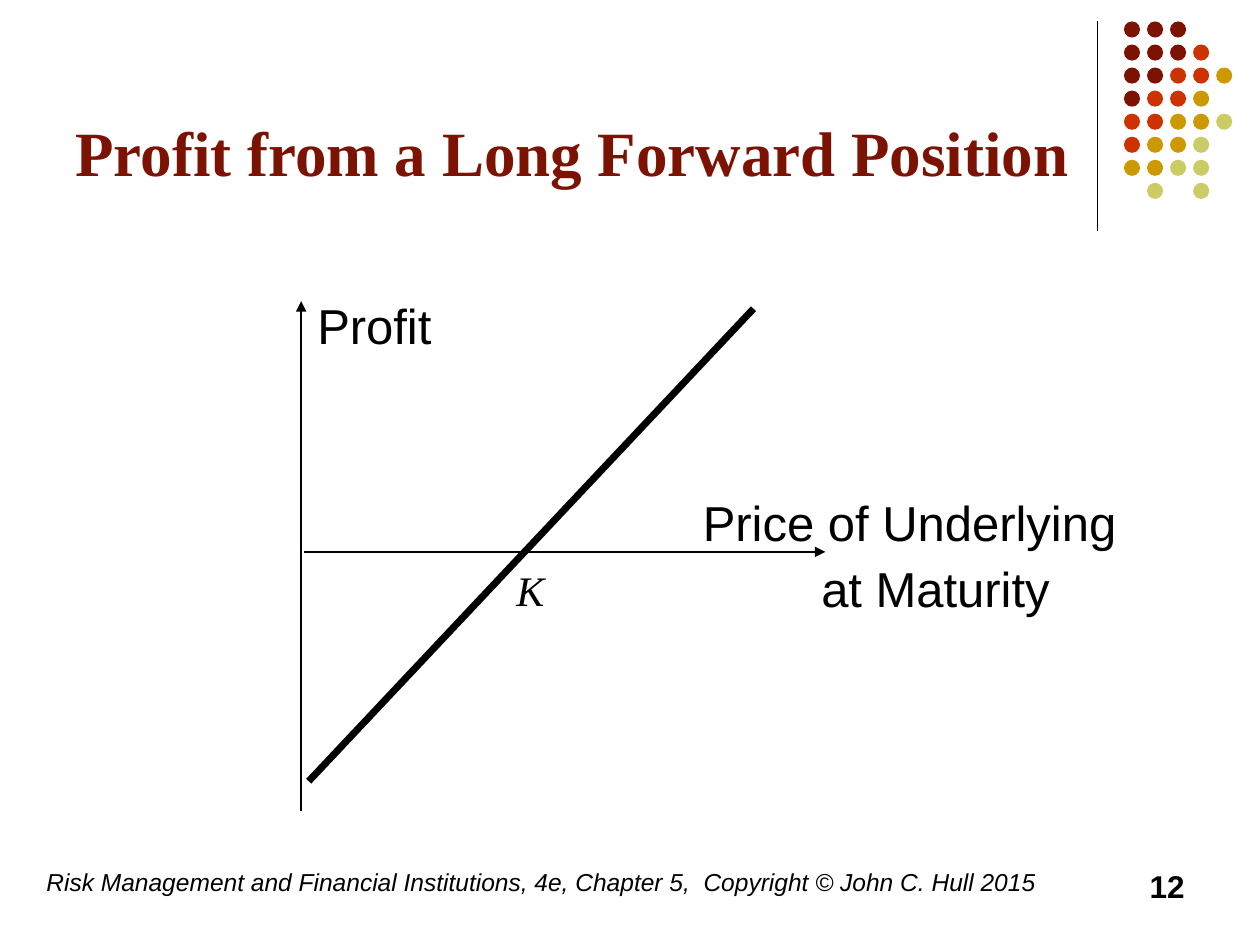
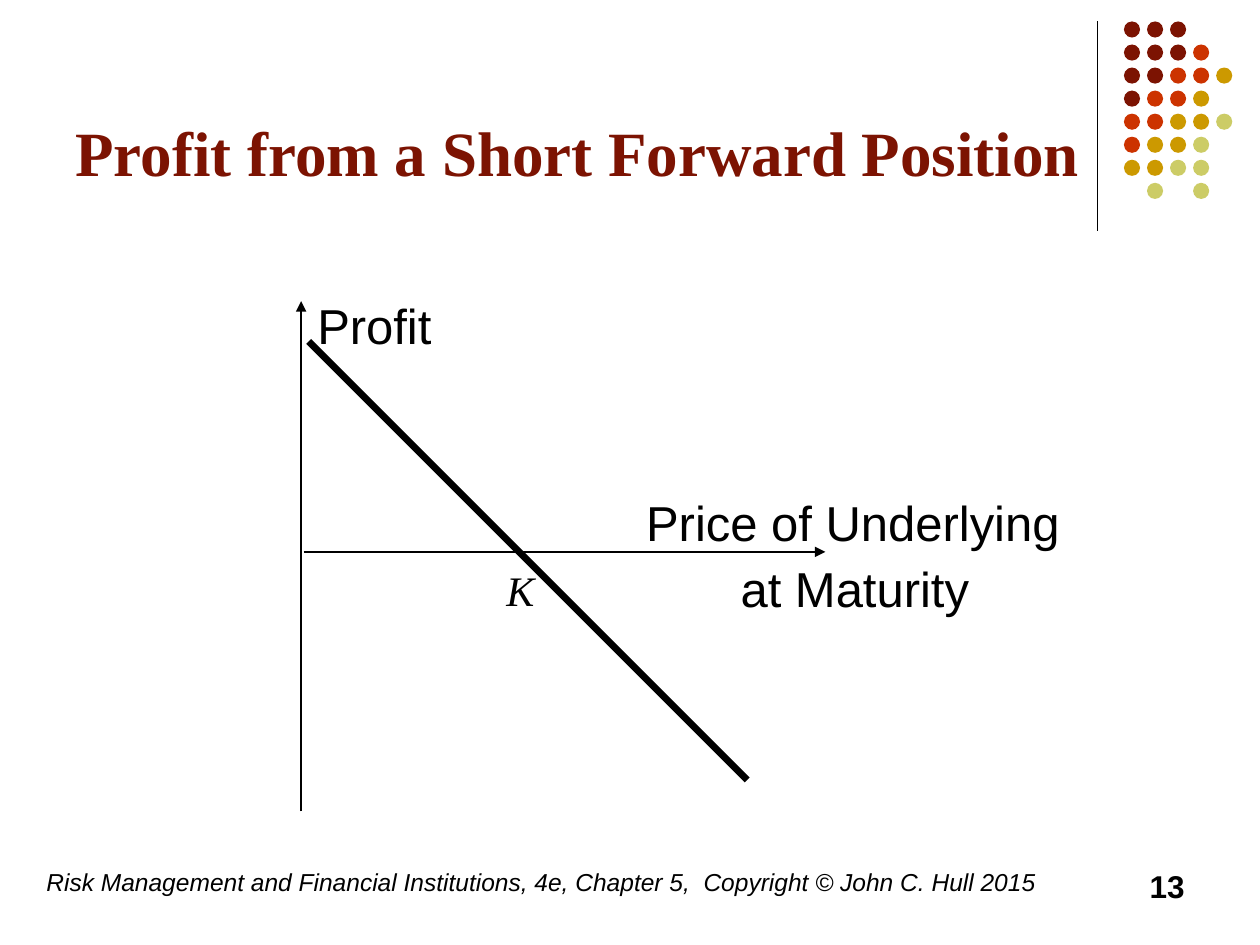
from dataclasses import dataclass

from lxml import etree
from pptx import Presentation
from pptx.dml.color import RGBColor
from pptx.enum.shapes import MSO_CONNECTOR, MSO_SHAPE
from pptx.enum.text import MSO_ANCHOR, PP_ALIGN
from pptx.oxml.ns import qn
from pptx.util import Inches, Pt

STRAIGHT, OVAL = MSO_CONNECTOR.STRAIGHT, MSO_SHAPE.OVAL
LEFT, RIGHT = PP_ALIGN.LEFT, PP_ALIGN.RIGHT
TOP, BOTTOM = MSO_ANCHOR.TOP, MSO_ANCHOR.BOTTOM

# The slide is a grid of square cells; all lengths below count cells
COLUMNS, ROWS = 100, 75
CELL = Inches(0.1)

COLORS = {"ink": "000000", "maroon": "7C1302", "red": "CC3300",
          "gold": "CC9900", "olive": "CCCC66"}
SANS, SERIF = "Arial", "Times New Roman"

# One letter per dot, the initial of its colour
DOT_COLORS = {name[0]: name for name in ("maroon", "red", "gold", "olive")}
DOT_ROWS = ["mmm", "mmmr", "mmrrg", "mrrg", "rrggo", "rggo", "ggoo", " o o"]
DOT_PITCH, DOT_SIZE = 1.83, 1.28

FOOTER = ("Risk Management and Financial Institutions, 4e, Chapter 5,  "
          "Copyright © John C. Hull 2015")


@dataclass
class Box:
    left: float
    top: float
    width: float
    height: float

    def inner(self, left, top, width, height):
        return Box(self.left + left, self.top + top, width, height)

    def point(self, x, y):
        return self.left + x, self.top + y


@dataclass
class Position:
    title: str
    number: int
    payoff: tuple        # start and end of the payoff line in the plot
    strike_left: float
    price_left: float
    maturity_indent: float


PAGE_BOX = Box(0, 0, COLUMNS, ROWS)
DOTS_BOX = PAGE_BOX.inner(87.1, 1.7, 10.8, 16.6)
TITLE_BOX = PAGE_BOX.inner(5, 1.3, 82.5, 14.2)
FOOTER_BOX = PAGE_BOX.inner(2.7, 68.3, 92.3, 5)
PLOT_BOX = PAGE_BOX.inner(23.9, 23.9, 41.6, 40.5)

POSITIONS = [
    Position("Profit from a Long Forward Position", 12,
             ((0.6, 38.1), (35.9, 0.6)), 16.1, 30.9, 9.4),
    Position("Profit from a Short Forward Position", 13,
             ((0.6, 3.2), (35.4, 38)), 15.3, 26.4, 7.5),
]


def cells(*counts):
    return [round(count * CELL) for count in counts]


def color(name):
    return RGBColor.from_string(COLORS[name])


def add_text(page, box, lines, size, font=SANS, ink="ink", bold=False,
             italic=False, align=LEFT, anchor=TOP):
    area = cells(box.left, box.top, box.width, box.height)
    frame = page.shapes.add_textbox(*area).text_frame
    frame.word_wrap = True
    frame.vertical_anchor = anchor
    frame.text = "\n".join(lines)
    for para in frame.paragraphs:
        para.alignment = align
        para.font.name, para.font.size = font, Pt(size)
        para.font.bold, para.font.italic = bold, italic
        para.font.color.rgb = color(ink)
    return frame


def add_line(page, start, end, weight, arrow=False):
    line = page.shapes.add_connector(STRAIGHT, *cells(*start, *end))
    line.line.color.rgb = color("ink")
    line.line.width = Pt(weight)
    properties = line._element.spPr
    if arrow:
        outline = properties.find(qn("a:ln"))
        etree.SubElement(outline, qn("a:tailEnd"), type="triangle")
    etree.SubElement(properties, qn("a:effectLst"))


def draw_dots(page, box):
    """Vertical rule with the dot pattern to its right."""
    add_line(page, box.point(0, 0), box.point(0, box.height), 0.75)
    for row, letters in enumerate(DOT_ROWS):
        for column, letter in enumerate(letters):
            if letter == " ":
                continue
            spot = box.point(2.1 + column * DOT_PITCH, row * DOT_PITCH)
            dot = page.shapes.add_shape(
                OVAL, *cells(*spot, DOT_SIZE, DOT_SIZE))
            dot.shadow.inherit = False
            dot.fill.solid()
            dot.fill.fore_color.rgb = color(DOT_COLORS[letter])
            dot.line.fill.background()


def draw_footer(page, box, number):
    add_text(page, box.inner(0, 0, 82.7, box.height), [FOOTER], 14,
             italic=True)
    add_text(page, box.inner(box.width - 23.3, 0, 23.3, box.height),
             [str(number)], 18, bold=True, align=RIGHT)


def draw_plot(page, box, position):
    # Axes cross at zero profit
    zero = 19.9
    add_line(page, box.point(0, box.height), box.point(0, 0), 1, arrow=True)
    add_line(page, box.point(0.2, zero), box.point(box.width, zero), 1,
             arrow=True)

    # Payoff line
    start, end = position.payoff
    add_line(page, box.point(*start), box.point(*end), 4)

    # Labels
    add_text(page, box.inner(0.3, -0.9, 13, 5.6), ["Profit"], 28)
    price = add_text(page, box.inner(position.price_left, 14.7, 36, 11),
                     ["Price of Underlying", "at Maturity"], 28)
    maturity = price.paragraphs[1]
    maturity.space_before = Pt(4)
    indent, = cells(position.maturity_indent)
    maturity._p.get_or_add_pPr().set("marL", str(indent))
    add_text(page, box.inner(position.strike_left, 20.4, 5, 5), ["K"], 24,
             font=SERIF, italic=True)


def draw_position(deck, position):
    page = deck.slides.add_slide(deck.slide_layouts[6])
    draw_dots(page, DOTS_BOX)
    add_text(page, TITLE_BOX, [position.title], 36, font=SERIF,
             ink="maroon", bold=True, anchor=BOTTOM)
    draw_footer(page, FOOTER_BOX, position.number)
    draw_plot(page, PLOT_BOX, position)


def main():
    deck = Presentation()
    deck.slide_width, deck.slide_height = cells(COLUMNS, ROWS)
    for position in POSITIONS:
        draw_position(deck, position)
    deck.save("out.pptx")


if __name__ == "__main__":
    main()
